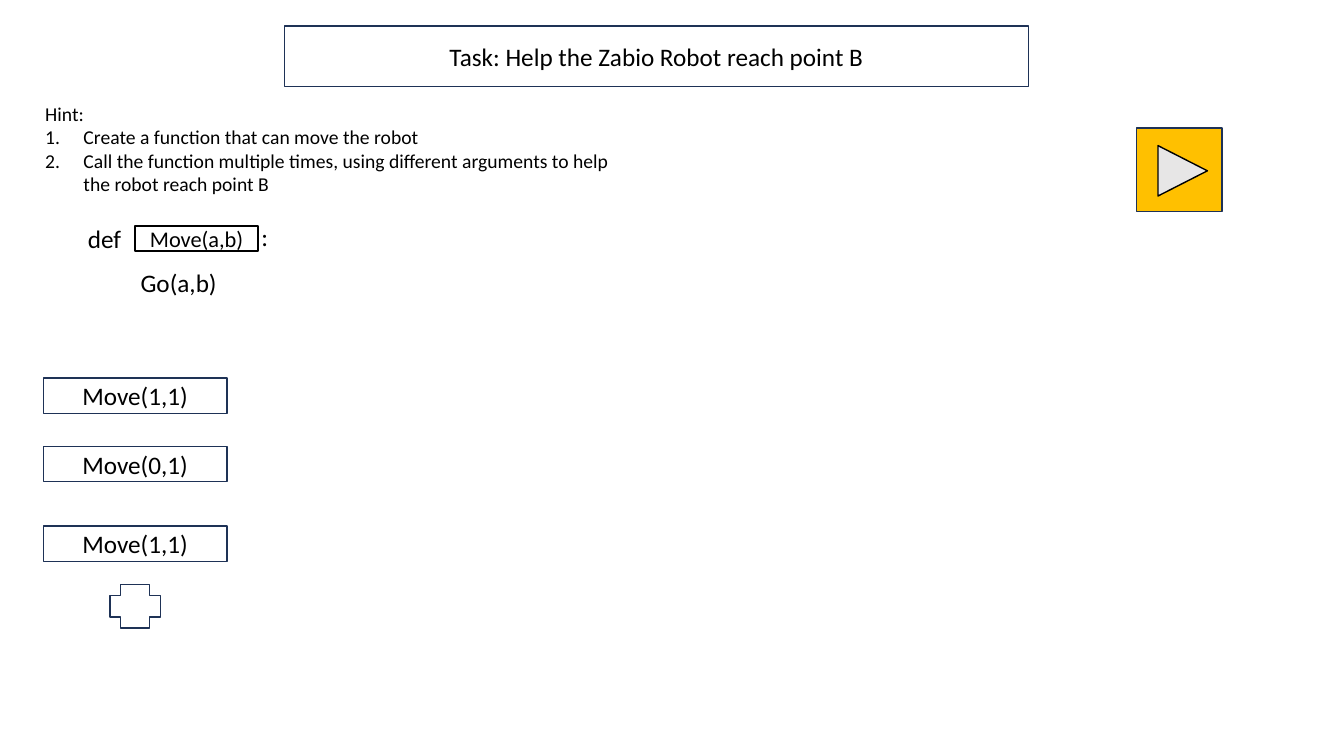
from pptx import Presentation
from pptx.dml.color import RGBColor
from pptx.enum.shapes import MSO_SHAPE
from pptx.enum.text import MSO_ANCHOR, PP_ALIGN
from pptx.oxml import parse_xml
from pptx.oxml.ns import nsdecls
from pptx.util import Inches, Pt

NAVY = RGBColor(0x1E, 0x32, 0x56)
BLACK = RGBColor(0, 0, 0)
GOLD = RGBColor(0xFF, 0xC0, 0)
GRAY = RGBColor(0xE7, 0xE6, 0xE6)

# Content
TITLE = "Task: Help the Zabio Robot reach point B"
HINT = "Hint:"
STEPS = [
    "Create a function that can move the robot",
    "Call the function multiple times, using different arguments "
    "to help the robot reach point B",
]
CODE = [  # text, place
    ("def ", (0.59, 2.1, 0.95, 0.54)),
    (": ", (2.18, 2.08, 0.95, 0.54)),
    ("Go(a,b) ", (1.26, 2.53, 1.08, 0.54)),
]
HEAD = ("Move(a,b)", (1.34, 2.24, 1.22, 0.25))
CALLS = [("Move(1,1)", 3.75), ("Move(0,1)", 4.43), ("Move(1,1)", 5.22)]
LEFT, WIDE, HIGH = 0.43, 1.82, 0.35
INDENT = 0.38

deck = Presentation()
deck.slide_width, deck.slide_height = Inches(13.33), Inches(7.5)
slide = deck.slides.add_slide(deck.slide_layouts[6])


def style(item, **form):
    for name, value in form.items():
        setattr(item, name, value)


def write(shape, lines, size=18, align=PP_ALIGN.CENTER):
    frame = shape.text_frame
    style(frame, word_wrap=True, vertical_anchor=MSO_ANCHOR.MIDDLE)
    frame.text = "\n".join(lines)
    for para in frame.paragraphs:
        para.alignment = align
        style(para.runs[0].font, name="Calibri", size=Pt(size))
        para.runs[0].font.color.rgb = BLACK
    return frame


def draw(kind, place, fill=None, edge=NAVY):
    shape = slide.shapes.add_shape(kind, *map(Inches, place))
    shape.shadow.inherit = False
    if fill is None:
        shape.fill.background()
    else:
        shape.fill.solid()
        shape.fill.fore_color.rgb = fill
    shape.line.color.rgb = edge
    shape.line.width = Pt(1)
    return shape


def label(place, *args, **form):
    return write(slide.shapes.add_textbox(*map(Inches, place)), *args, **form)


# Run button
draw(MSO_SHAPE.RECTANGLE, (11.27, 1.27, 0.85, 0.83), GOLD)
arrow = draw(MSO_SHAPE.ISOSCELES_TRIANGLE, (11.48, 1.45, 0.5, 0.49), GRAY, BLACK)
arrow.rotation = 90

# Title
write(draw(MSO_SHAPE.RECTANGLE, (2.82, 0.26, 7.38, 0.6)), [TITLE])

# Hint with numbered steps
hint = label((0.35, 1.16, 6.07, 0.9), [HINT, *STEPS], size=14, align=PP_ALIGN.LEFT)
hint.margin_bottom = Inches(0.32)
for para in hint.paragraphs[1:]:
    props = para._p.get_or_add_pPr()
    props.set("marL", str(Inches(INDENT)))
    props.set("indent", str(-Inches(INDENT)))
    props.append(parse_xml(f'<a:buAutoNum {nsdecls("a")} type="arabicPeriod"/>'))

# Function definition
for text, place in CODE:
    label(place, [text])
text, place = HEAD
write(draw(MSO_SHAPE.RECTANGLE, place, edge=BLACK), [text], size=16)

# Function calls and the plus below them
for text, top in CALLS:
    write(draw(MSO_SHAPE.RECTANGLE, (LEFT, top, WIDE, HIGH)), [text])
draw(MSO_SHAPE.CROSS, (1.09, 5.8, 0.5, 0.43))

deck.save("out.pptx")
